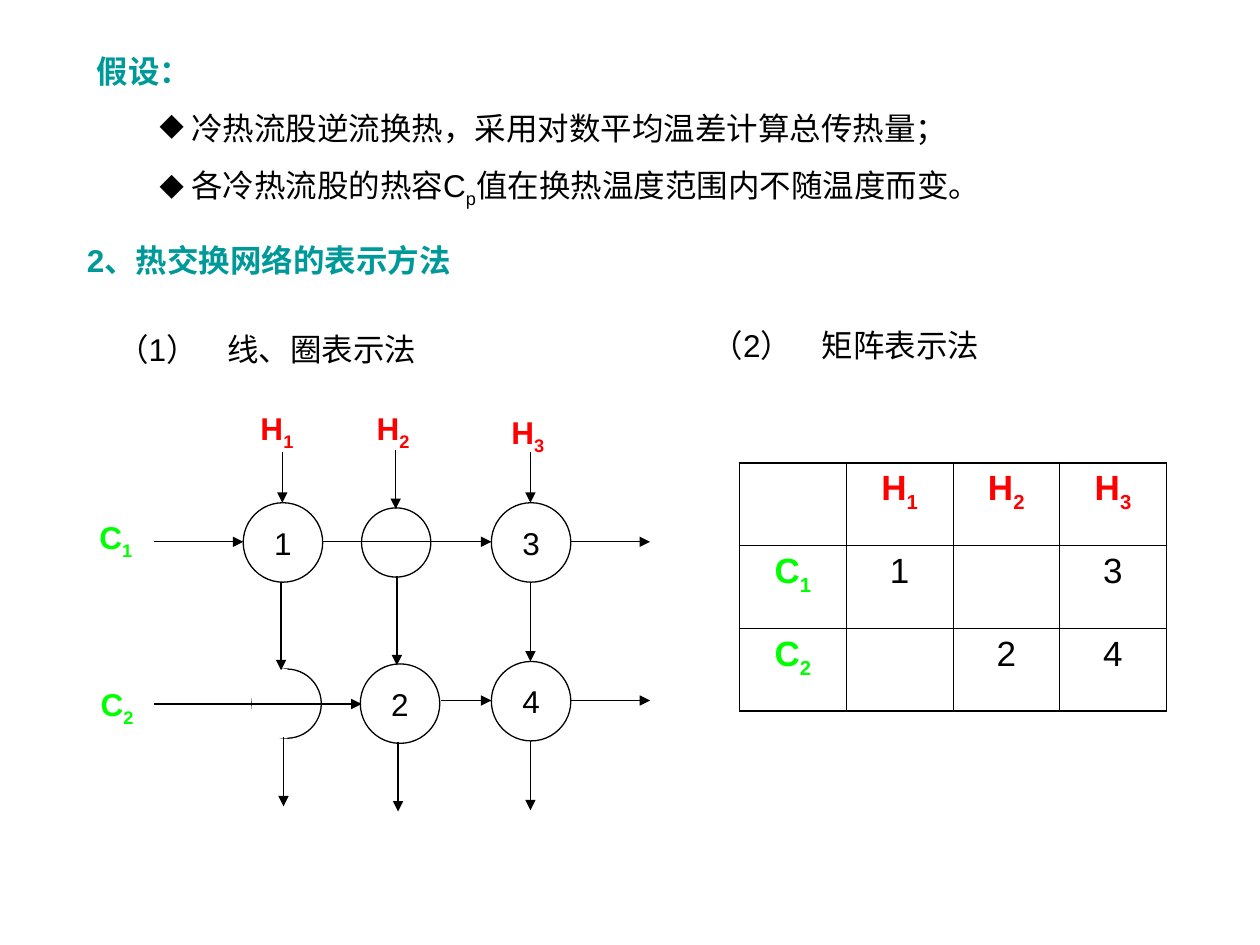
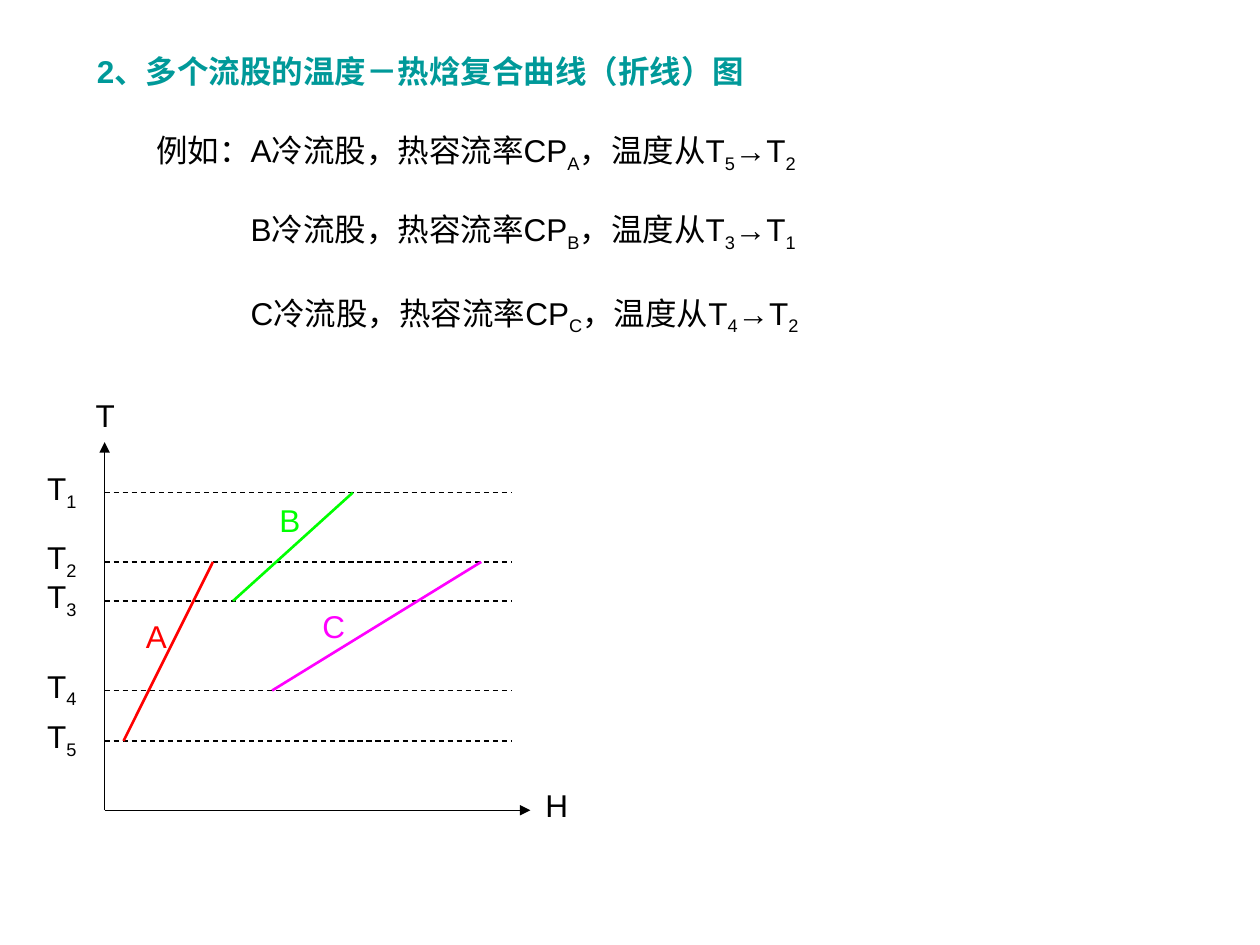
from itertools import product

from lxml.etree import SubElement
from pptx import Presentation
from pptx.dml.color import RGBColor
from pptx.enum.dml import MSO_LINE
from pptx.enum.shapes import MSO_CONNECTOR, MSO_SHAPE
from pptx.enum.text import MSO_ANCHOR, MSO_AUTO_SIZE, PP_ALIGN
from pptx.oxml.ns import qn
from pptx.util import Pt

TEAL = RGBColor(0x00, 0x99, 0x99)
BLACK = RGBColor(0x00, 0x00, 0x00)
WHITE = RGBColor(0xFF, 0xFF, 0xFF)
RED = RGBColor(0xFF, 0x00, 0x00)
GREEN = RGBColor(0x00, 0xFF, 0x00)
MAGENTA = RGBColor(0xFF, 0x00, 0xFF)


class Deck:
    """Holds the shared style and the current slide."""

    font_name = "Arial"
    text_size = 18
    thin = 0.75
    paragraph_gap = 11.2

    def __init__(self):
        self.presentation = Presentation()
        self.presentation.slide_width = Pt(720)
        self.presentation.slide_height = Pt(540)
        self.slide = None

    def add_runs(self, paragraph, text, color=BLACK, bold=False, size=text_size):
        first, *rest = text.split("_")
        pieces = [(first, False)]
        for part in rest:
            pieces += [(part[0], True), (part[1:], False)]
        style = {"name": self.font_name, "size": Pt(size), "bold": bold}
        for piece, lowered in pieces:
            if not piece:
                continue
            run = paragraph.add_run()
            run.text = piece
            for attribute, value in style.items():
                setattr(run.font, attribute, value)
            run.font.color.rgb = color
            if lowered:
                run.font._element.set("baseline", "-25000")

    def new_slide(self, title, left, top, width):
        self.slide = self.presentation.slides.add_slide(self.presentation.slide_layouts[5])
        heading = self.slide.shapes.title
        place = {"left": left, "top": top, "width": width, "height": 29}
        for attribute, value in place.items():
            setattr(heading, attribute, Pt(value))
        frame = heading.text_frame
        layout = {"word_wrap": True, "auto_size": MSO_AUTO_SIZE.NONE,
                  "vertical_anchor": MSO_ANCHOR.TOP}
        for attribute, value in layout.items():
            setattr(frame, attribute, value)
        frame.paragraphs[0].alignment = PP_ALIGN.LEFT
        self.add_runs(frame.paragraphs[0], title, TEAL, True)

    def text(self, content, left, top, width, color=BLACK, bold=False, height=30, tab=None):
        box = self.slide.shapes.add_textbox(Pt(left), Pt(top), Pt(width), Pt(height))
        box.text_frame.word_wrap = True
        paragraph = box.text_frame.paragraphs[0]
        if tab:
            stops = SubElement(paragraph._p.get_or_add_pPr(), qn("a:tabLst"))
            SubElement(stops, qn("a:tab"), pos=str(Pt(tab)), algn="l")
        self.add_runs(paragraph, content, color, bold)
        return box.text_frame

    def bullet(self, frame, content):
        paragraph = frame.add_paragraph()
        properties = paragraph._p.get_or_add_pPr()
        properties.set("marL", str(Pt(54)))
        properties.set("indent", str(Pt(-18)))
        SubElement(properties, qn("a:buChar"), char="◆")
        paragraph.space_before = Pt(self.paragraph_gap)
        self.add_runs(paragraph, content)

    def shape(self, kind, left, top, width, height, fill=None, outline=BLACK, label=""):
        shape = self.slide.shapes.add_shape(kind, Pt(left), Pt(top), Pt(width), Pt(height))
        shape.shadow.inherit = False
        if fill is None:
            shape.fill.background()
        else:
            shape.fill.solid()
            shape.fill.fore_color.rgb = fill
        if outline is None:
            shape.line.fill.background()
        else:
            shape.line.color.rgb = outline
            shape.line.width = Pt(self.thin)
        if label:
            frame = shape.text_frame
            for side in ("left", "top", "right", "bottom"):
                setattr(frame, f"margin_{side}", 0)
            frame.paragraphs[0].alignment = PP_ALIGN.CENTER
            self.add_runs(frame.paragraphs[0], label)

    def line(self, x1, y1, x2, y2, color=BLACK, width=thin, dashed=False, arrow=False):
        line = self.slide.shapes.add_connector(
            MSO_CONNECTOR.STRAIGHT, Pt(x1), Pt(y1), Pt(x2), Pt(y2))
        line.line.color.rgb = color
        line.line.width = Pt(width)
        if dashed:
            line.line.dash_style = MSO_LINE.DASH
        properties = line.element.spPr
        if arrow:
            SubElement(properties.find(qn("a:ln")), qn("a:tailEnd"), type="triangle")
        SubElement(properties, qn("a:effectLst"))

    def border(self, cell, widths):
        properties = cell._tc.get_or_add_tcPr()
        for side, width in widths.items():
            edge = SubElement(properties, qn(f"a:ln{side}"), w=str(Pt(width)))
            fill = SubElement(edge, qn("a:solidFill"))
            SubElement(fill, qn("a:srgbClr"), val=str(BLACK))

    def matrix(self, rows, left, top, width, height, outer=1.08, inner=0.45):
        last_row, last_column = len(rows) - 1, len(rows[0]) - 1
        table = self.slide.shapes.add_table(
            len(rows), len(rows[0]), Pt(left), Pt(top), Pt(width), Pt(height)).table
        table.first_row = table.horz_banding = False
        for r, c in product(range(last_row + 1), range(last_column + 1)):
            cell = table.cell(r, c)
            outside = {"L": c == 0, "R": c == last_column, "T": r == 0, "B": r == last_row}
            self.border(cell, {side: outer if edge else inner for side, edge in outside.items()})
            cell.fill.background()
            color = RED if r == 0 else GREEN if c == 0 else BLACK
            paragraph = cell.text_frame.paragraphs[0]
            paragraph.alignment = PP_ALIGN.CENTER
            self.add_runs(paragraph, rows[r][c], color, color != BLACK, 20)


def build_network(deck):
    deck.new_slide("2、热交换网络的表示方法", 42.5, 134, 505)
    assumptions = deck.text("假设：", 48.2, 26, 629, TEAL, True, height=98)
    deck.bullet(assumptions, "冷热流股逆流换热，采用对数平均温差计算总传热量；")
    deck.bullet(assumptions, "各冷热流股的热容C_p值在换热温度范围内不随温度而变。")
    deck.text("（1）\t线、圈表示法", 59.8, 185, 238, tab=63)
    deck.text("（2）\t矩阵表示法", 399.6, 183, 238, tab=63)

    exchangers = {"1": (139, 287.3), "2": (205.9, 379.4), "3": (280.8, 287.3), "4": (280.8, 378)}
    for number, (left, top) in exchangers.items():
        deck.shape(MSO_SHAPE.OVAL, left, top, 45.4, 45.4, label=number)
    for left, top in ((206.6, 290.2), (144, 382.3)):
        deck.shape(MSO_SHAPE.OVAL, left, top, 39.6, 39.6)
    deck.shape(MSO_SHAPE.RECTANGLE, 144, 382.3, 20.2, 39.6, fill=WHITE, outline=None)

    cold_flows = {309.6: [(87.8, 139), (184.3, 280.8), (326.2, 371.5)],
                  400.3: [(252, 280.8), (326.2, 371.5)],
                  402.3: [(87.8, 206.6)]}
    hot_flows = {161.3: [(258.5, 287.3)], 160.6: [(332.6, 383)], 162: [(421.2, 460.8)],
                 226.1: [(257, 290.9)], 226.8: [(329, 380.2)], 227.5: [(424.1, 463.7)],
                 303.1: [(258.5, 287.3), (332.6, 378), (423.4, 463)]}
    for y, spans in cold_flows.items():
        for start, end in spans:
            deck.line(start, y, end, y, arrow=True)
    for x, spans in hot_flows.items():
        for start, end in spans:
            deck.line(x, start, x, end, arrow=True)

    for stream, left, top, color in (
            ("C_1", 49.7, 292.3, GREEN), ("C_2", 50.4, 388.1, GREEN),
            ("H_1", 141.8, 230.4, RED), ("H_2", 208.1, 230.4, RED), ("H_3", 285.1, 232.6, RED)):
        deck.text(stream, left, top, 47, color, True)
    deck.matrix([["", "H_1", "H_2", "H_3"], ["C_1", "1", "", "3"], ["C_2", "", "2", "4"]],
                422.6, 264.4, 244, 142)


def build_composite_curve(deck):
    deck.new_slide("2、多个流股的温度－热焓复合曲线（折线）图", 48.2, 26, 420)
    for content, left, top in (
            ("例如：A冷流股，热容流率CP_A，温度从T_5→T_2", 82.1, 71.3),
            ("B冷流股，热容流率CP_B，温度从T_3→T_1", 136.1, 116.6),
            ("C冷流股，热容流率CP_C，温度从T_4→T_2", 136.1, 164.2)):
        deck.text(content, left, top, 408)

    axis_x, axis_y = 59.8, 463
    deck.line(axis_x, axis_y, axis_x, 252.7, arrow=True)
    deck.line(axis_x, axis_y, 303.1, axis_y, arrow=True)
    deck.text("T", 47.5, 222.5, 34)
    deck.text("H", 304.6, 445.7, 34)

    levels = {"T_1": 281.5, "T_2": 321.1, "T_3": 343.4, "T_4": 394.6, "T_5": 423.4}
    for level, y in levels.items():
        deck.line(axis_x, y, 292.3, y, dashed=True)
        deck.text(level, 19.8, y - 17.2, 45)

    for stream, color, x1, start, x2, end, left, top in (
            ("A", RED, 70.6, "T_5", 121.7, "T_2", 76.3, 349.2),
            ("B", GREEN, 133.2, "T_3", 201.6, "T_1", 152.6, 283),
            ("C", MAGENTA, 155.5, "T_4", 275, "T_2", 177.1, 343.4)):
        deck.line(x1, levels[start], x2, levels[end], color, 1.5)
        deck.text(stream, left, top, 34, color)


def main():
    deck = Deck()
    build_network(deck)
    build_composite_curve(deck)
    deck.presentation.save("out.pptx")


if __name__ == "__main__":
    main()
